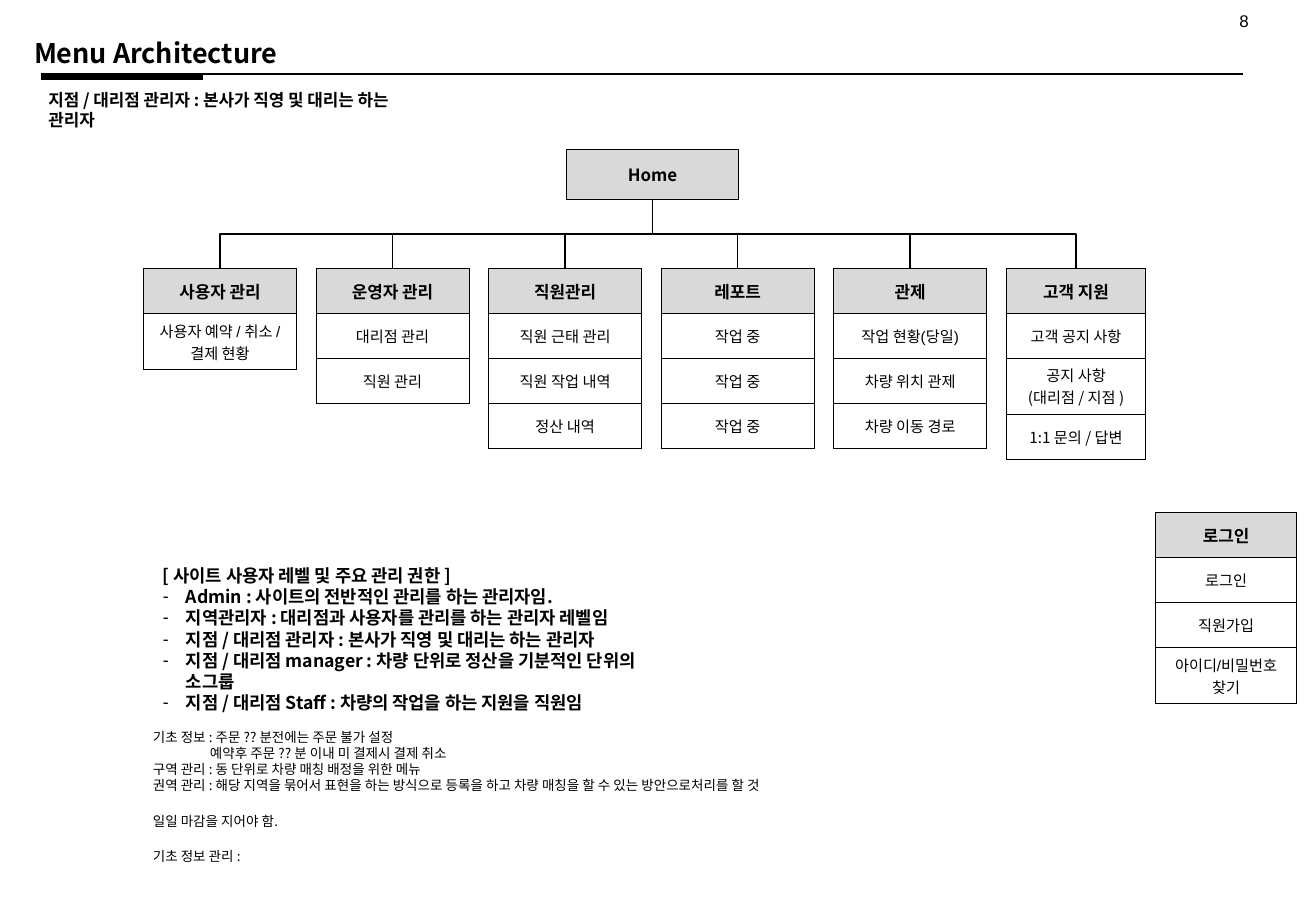
from lxml.etree import SubElement
from pptx import Presentation
from pptx.dml.color import RGBColor
from pptx.enum.shapes import MSO_CONNECTOR as CONNECTOR, MSO_SHAPE as SHAPE
from pptx.enum.text import MSO_ANCHOR as ANCHOR, MSO_AUTO_SIZE as AUTO_SIZE, PP_ALIGN as ALIGN
from pptx.oxml.ns import qn
from pptx.util import Inches, Pt

NOTO, ARIAL = "Noto Sans CJK KR", "Arial"
BLACK, WHITE, GREY = "000000", "FFFFFF", "D9D9D9"
HOME_BOX = (4.66, 1.23, 1.42, 0.41)
MENU_LEFT, MENU_TOP, MENU_STEP, ROW_HEIGHT = 1.18, 2.21, 1.42, 0.37
ROLES_SUBJECT = "지점 / 대리점 관리자 : 본사가 직영 및 대리는 하는 관리자"
MENUS = [
    (1.26, ARIAL, ["사용자 관리", "사용자 예약 / 취소 / 결제 현황"]),
    (1.26, ARIAL, ["운영자 관리", "대리점 관리", "직원 관리"]),
    (1.26, ARIAL, ["직원관리", "직원 근태 관리", "직원 작업 내역", "정산 내역"]),
    (1.26, ARIAL, ["레포트", "작업 중", "작업 중", "작업 중"]),
    (1.26, ARIAL, ["관제", "작업 현황(당일)", "차량 위치 관제", "차량 이동 경로"]),
    (1.15, NOTO, ["고객 지원", "고객 공지 사항", "공지 사항\n(대리점 / 지점 )", "1:1 문의 / 답변"]),
]
LOGIN = ["로그인", "로그인", "직원가입", "아이디/비밀번호 찾기"]
ROLES = [
    "[ 사이트 사용자 레벨 및 주요 관리 권한 ]",
    "Admin : 사이트의 전반적인 관리를 하는 관리자임.",
    "지역관리자 : 대리점과 사용자를 관리를 하는 관리자 레벨임",
    ROLES_SUBJECT,
    "지점 / 대리점 manager : 차량 단위로 정산을 기분적인 단위의 소그룹",
    "지점 / 대리점 Staff : 차량의 작업을 하는 지원을 직원임",
]
NOTES = [
    ("기초 정보 : 주문 ?? 분전에는 주문 불가 설정", 0, 0),
    ("예약후 주문 ?? 분 이내 미 결제시 결제 취소", 0.47, 0),
    ("구역 관리 : 동 단위로 차량 매칭 배정을 위한 메뉴", 0, 0),
    ("권역 관리 : 해당 지역을 묶어서 표현을 하는 방식으로 등록을 하고 차량 매칭을 할 수 있는 방안으로처리를 할 것", 0, 0),
    ("일일 마감을 지어야 함.", 0, 11.5),
    ("기초 정보 관리 :", 0, 11.5),
]


def rgb(value):
    """Turn a hex string into a colour."""
    return RGBColor.from_string(value)


def apply(target, formats):
    """Set every attribute named in a dict of format values."""
    for attribute, value in formats.items():
        setattr(target, attribute, value)


def write(frame, texts, size, font, bold=False, align=ALIGN.LEFT):
    """Fill a text frame with one formatted paragraph per text."""
    for index, text in enumerate(texts):
        paragraph = frame.paragraphs[0] if index == 0 else frame.add_paragraph()
        apply(paragraph, {"alignment": align, "space_before": Pt(0)})
        run = paragraph.add_run()
        run.text = text
        apply(run.font, {"size": Pt(size), "name": font, "bold": bold})
        run.font.color.rgb = rgb(BLACK)


def place(shape, box, anchor=ANCHOR.TOP, wrap=True):
    """Move a shape to a box and return its prepared text frame."""
    apply(shape, dict(zip(("left", "top", "width", "height"), map(Inches, box))))
    apply(shape.text_frame, {"word_wrap": wrap, "auto_size": AUTO_SIZE.NONE, "vertical_anchor": anchor})
    return shape.text_frame


def add_text(slide, box, anchor=ANCHOR.TOP, wrap=True):
    """Add a text box and return its text frame."""
    return place(slide.shapes.add_textbox(0, 0, 0, 0), box, anchor, wrap)


def add_line(slide, start, end, weight, kind=CONNECTOR.STRAIGHT):
    """Draw a plain black connector between two points."""
    line = slide.shapes.add_connector(kind, *map(Inches, (*start, *end)))
    line.line.color.rgb = rgb(BLACK)
    line.line.width = Pt(weight)
    SubElement(line._element.spPr, qn("a:effectLst"))
    return line


def add_branch(slide, start, end):
    """Draw an elbow that leaves a menu upwards and enters Home from below."""
    center_x, center_y = (start[0] + end[0]) / 2, (start[1] + end[1]) / 2
    half_run, half_rise = abs(start[0] - end[0]) / 2, (start[1] - end[1]) / 2
    side, angle = (1, 90) if start[0] < end[0] else (-1, 270)
    branch = add_line(
        slide,
        (center_x + side * half_rise, center_y + half_run),
        (center_x - side * half_rise, center_y - half_run),
        1, CONNECTOR.ELBOW,
    )
    branch._element.spPr.find(qn("a:xfrm")).set("rot", str(angle * 60000))


def add_borders(cell):
    """Give a cell thin black edges."""
    properties = cell._tc.get_or_add_tcPr()
    for position, edge in enumerate(("a:lnL", "a:lnR", "a:lnT", "a:lnB")):
        border = SubElement(properties, qn(edge), w=str(Pt(0.5)))
        properties.insert(position, border)
        SubElement(SubElement(border, qn("a:solidFill")), qn("a:srgbClr"), val=BLACK)


def add_menu(slide, left, top, width, entries, font, head_font=NOTO):
    """Add a one-column menu with a grey heading row."""
    size = map(Inches, (left, top, width, ROW_HEIGHT * len(entries)))
    menu = slide.shapes.add_table(len(entries), 1, *size).table
    for index, entry in enumerate(entries):
        head = index == 0
        cell = menu.cell(index, 0)
        menu.rows[index].height = Inches(ROW_HEIGHT)
        cell.vertical_anchor = ANCHOR.MIDDLE
        cell.fill.solid()
        cell.fill.fore_color.rgb = rgb(GREY if head else WHITE)
        add_borders(cell)
        write(cell.text_frame, entry.split("\n"), 10 if head else 9,
              head_font if head else font, head, ALIGN.CENTER)


def add_header(slide):
    """Place the page number, title, rules and subject."""
    write(add_text(slide, (10.1, 0.04, 0.38, 0.27), wrap=False), ["8"], 10, ARIAL)
    title = place(slide.shapes.title, (0.18, 0.25, 4.67, 0.37))
    write(title, ["Menu Architecture"], 16, NOTO, True)
    add_line(slide, (0.34, 0.61), (10.23, 0.61), 1)
    add_line(slide, (0.34, 0.64), (1.67, 0.64), 3)
    subject = add_text(slide, (0.3, 0.77, 3.38, 0.27), ANCHOR.MIDDLE)
    write(subject, [ROLES_SUBJECT], 10, NOTO, True)


def add_menu_tree(slide, box):
    """Draw Home in its box with the menus branching below it."""
    left, top, width, height = box
    home = slide.shapes.add_shape(SHAPE.RECTANGLE, *map(Inches, box))
    home.shadow.inherit = False
    home.fill.solid()
    home.fill.fore_color.rgb = rgb(GREY)
    home.line.color.rgb = rgb(BLACK)
    home.line.width = Pt(0.5)
    write(place(home, box, ANCHOR.MIDDLE), ["Home"], 10, NOTO, True, ALIGN.CENTER)
    for index, (menu_width, font, entries) in enumerate(MENUS):
        menu_left = MENU_LEFT + index * MENU_STEP
        add_branch(slide, (menu_left + menu_width / 2, MENU_TOP), (left + width / 2, top + height))
        add_menu(slide, menu_left, MENU_TOP, menu_width, entries, font)


def add_roles(slide, box):
    """List the user levels with dash bullets under a heading."""
    roles = place(slide.placeholders[1], box)
    write(roles, ROLES, 10.5, NOTO, True)
    for index, paragraph in enumerate(roles.paragraphs):
        properties = paragraph._p.get_or_add_pPr()
        indent = Inches(0.19) if index else 0
        properties.set("marL", str(indent))
        properties.set("indent", str(-indent))
        if index:
            SubElement(properties, qn("a:buFont"), typeface=ARIAL)
            SubElement(properties, qn("a:buChar"), char="-")
        else:
            SubElement(properties, qn("a:buNone"))


def add_notes(slide, box):
    """Write the remarks on basic data, zones and closing."""
    remarks = add_text(slide, box, wrap=False)
    write(remarks, [text for text, _, _ in NOTES], 8, NOTO)
    for paragraph, (_, indent, gap) in zip(remarks.paragraphs, NOTES):
        paragraph.space_before = Pt(gap)
        paragraph._p.get_or_add_pPr().set("marL", str(Inches(indent)))


def main():
    """Build the menu architecture slide."""
    deck = Presentation()
    apply(deck, {"slide_width": Inches(10.83), "slide_height": Inches(7.5)})
    slide = deck.slides.add_slide(deck.slide_layouts[1])
    add_header(slide)
    add_menu_tree(slide, HOME_BOX)
    add_menu(slide, 9.51, 4.22, 1.16, LOGIN, ARIAL, ARIAL)
    add_roles(slide, (1.24, 4.6, 4.49, 1.16))
    add_notes(slide, (1.16, 5.95, 5.97, 1.18))
    deck.save("out.pptx")


if __name__ == "__main__":
    main()
